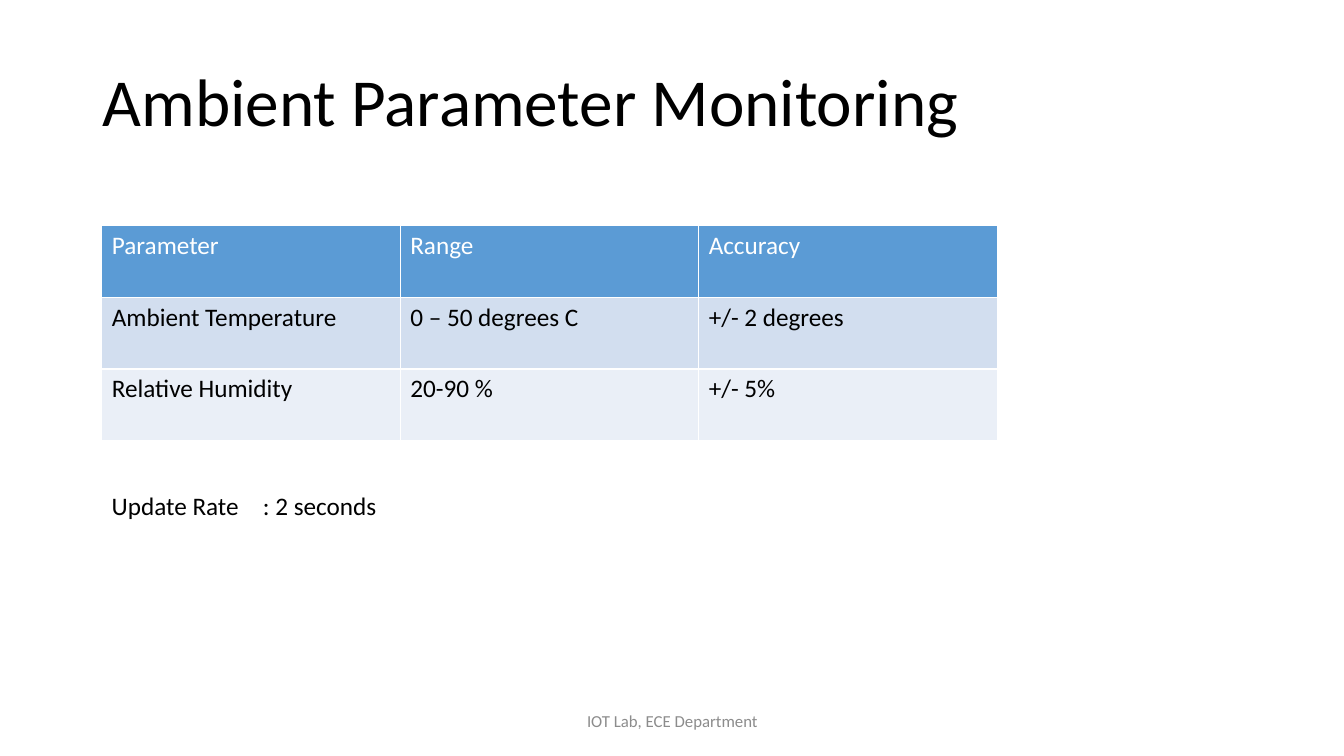
from dataclasses import dataclass

import pptx
import pptx.dml.color
import pptx.enum.text
import pptx.slide
import pptx.text.text
import pptx.util

RGBColor = pptx.dml.color.RGBColor
Inches = pptx.util.Inches
Pt = pptx.util.Pt
Align = pptx.enum.text.PP_ALIGN
Anchor = pptx.enum.text.MSO_ANCHOR

FONT = "Calibri"
BLACK = RGBColor(0x00, 0x00, 0x00)
WHITE = RGBColor(0xFF, 0xFF, 0xFF)
GRAY = RGBColor(0x8C, 0x8C, 0x8C)
HEADER_BLUE = RGBColor(0x5B, 0x9B, 0xD5)
BAND_DARK = RGBColor(0xD2, 0xDE, 0xEF)
BAND_LIGHT = RGBColor(0xEA, 0xEF, 0xF7)


@dataclass
class Label:
    text: str
    left: float
    top: float
    width: float
    height: float
    size: int
    color: RGBColor = BLACK
    align: Align = Align.LEFT
    anchor: Anchor = Anchor.MIDDLE
    line_spacing: float = 1.0


@dataclass
class Row:
    cells: tuple[str, ...]
    fill: RGBColor
    color: RGBColor = BLACK


LABELS = [
    Label("Ambient Parameter Monitoring", 0.92, 0.31, 11.5, 1.45, 48, line_spacing=0.9),
    Label("IOT Lab, ECE Department", 4.42, 6.95, 4.5, 0.4, 12, GRAY, Align.CENTER),
    Label("Update Rate \t: 2 seconds", 1.01, 4.82, 7.43, 0.4, 18, anchor=Anchor.TOP),
]

ROWS = [
    Row(("Parameter", "Range", "Accuracy"), HEADER_BLUE, WHITE),
    Row(("Ambient Temperature", "0 – 50 degrees C", "+/- 2 degrees"), BAND_DARK),
    Row(("Relative Humidity", "20-90 %", "+/- 5%"), BAND_LIGHT),
]
COL_WIDTH = 2.96
ROW_HEIGHT = 0.71


def add_run(tf: pptx.text.text.TextFrame, text: str, size: int, color: RGBColor) -> None:
    r = tf.paragraphs[0].add_run()
    r.text = text
    r.font.name = FONT
    r.font.size = Pt(size)
    r.font.bold = False
    r.font.color.rgb = color


def add_label(s: pptx.slide.Slide, label: Label) -> None:
    sp = s.shapes.add_textbox(Inches(label.left), Inches(label.top),
                              Inches(label.width), Inches(label.height))
    tf = sp.text_frame
    tf.word_wrap = True
    tf.vertical_anchor = label.anchor
    p = tf.paragraphs[0]
    p.alignment = label.align
    p.line_spacing = label.line_spacing
    add_run(tf, label.text, label.size, label.color)


def add_parameter_table(s: pptx.slide.Slide, rows: list[Row]) -> None:
    n_cols = len(rows[0].cells)
    table = s.shapes.add_table(len(rows), n_cols, Inches(1.01), Inches(2.24),
                               Inches(COL_WIDTH * n_cols),
                               Inches(ROW_HEIGHT * len(rows))).table
    for col in table.columns:
        col.width = Inches(COL_WIDTH)
    for i, row in enumerate(rows):
        table.rows[i].height = Inches(ROW_HEIGHT)
        for j, text in enumerate(row.cells):
            cell = table.cell(i, j)
            cell.fill.solid()
            cell.fill.fore_color.rgb = row.fill
            add_run(cell.text_frame, text, 18, row.color)


def main() -> None:
    prs = pptx.Presentation()
    prs.slide_width = Inches(13.33)
    prs.slide_height = Inches(7.5)
    s = prs.slides.add_slide(prs.slide_layouts[6])

    # Title, footer and update rate
    for label in LABELS:
        add_label(s, label)

    # Sensor ranges and accuracies
    add_parameter_table(s, ROWS)

    prs.save("out.pptx")


if __name__ == "__main__":
    main()
